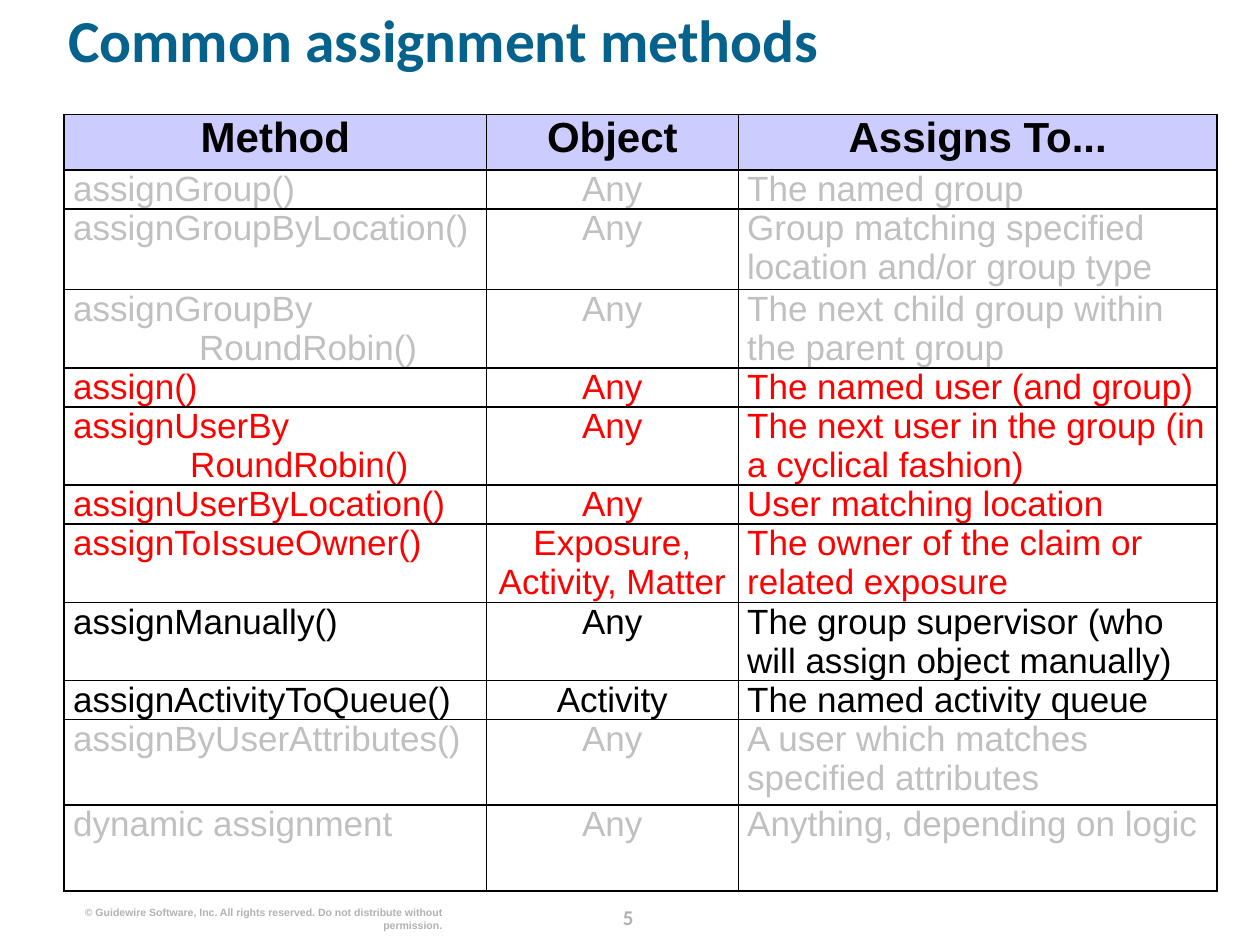
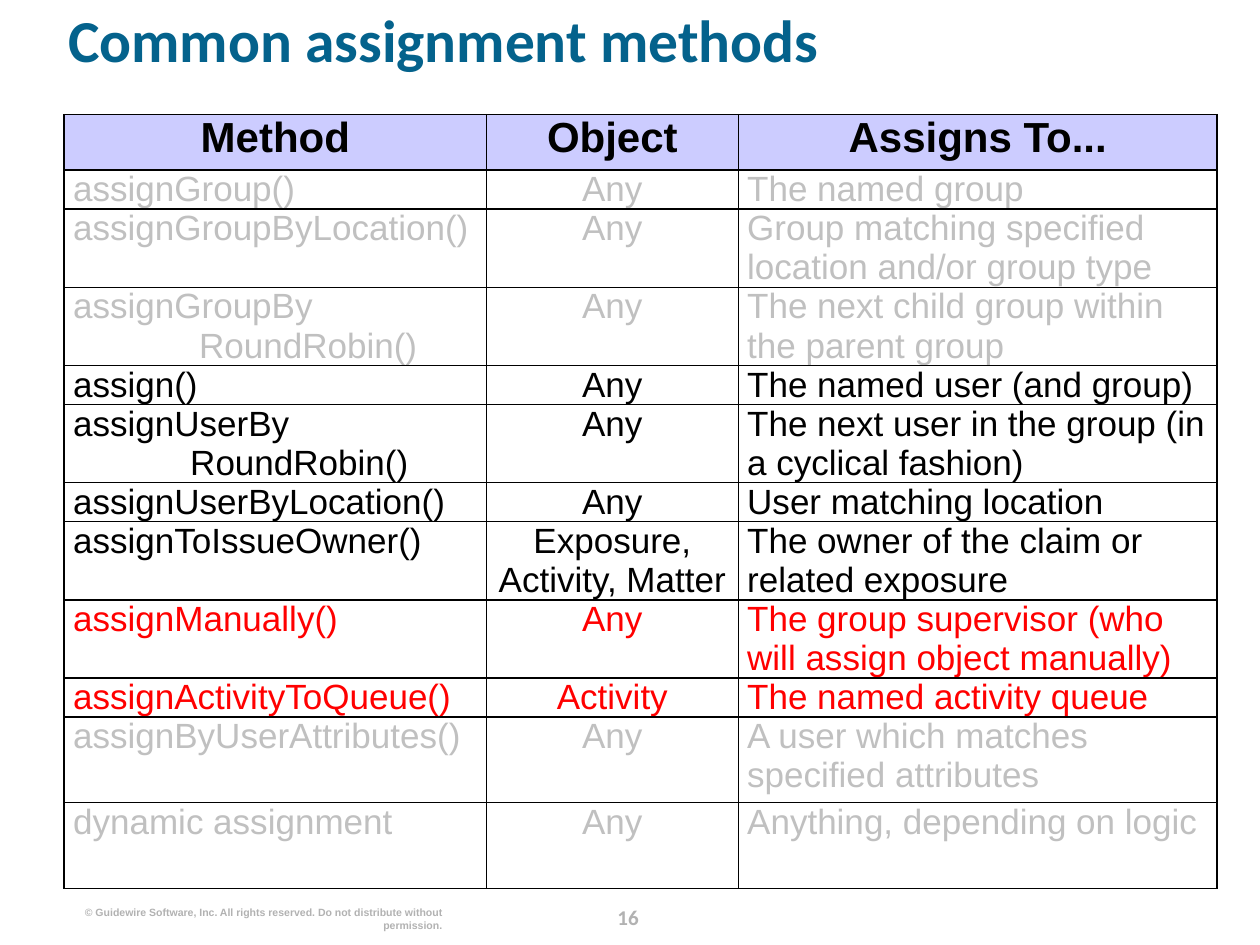
import lxml.etree
import pptx
import pptx.dml.color
import pptx.enum.text
import pptx.oxml.ns
import pptx.util

Inches, Pt = pptx.util.Inches, pptx.util.Pt
ALIGN = pptx.enum.text.PP_ALIGN

COLOURS = {
    "title": "04628C",
    "footer": "B2B2B2",
    "header": "CCCCFF",
    "body": "FFFFFF",
    "known": "000000",
    "focus": "FF0000",
    "muted": "C0C0C0",
}
STYLES = {
    "title": {"name": "Calibri", "size": Pt(34), "bold": True},
    "number": {"name": "Calibri", "size": Pt(12), "bold": True},
    "copyright": {"name": "Arial", "size": Pt(6), "bold": True},
    "header": {"name": "Arial", "size": Pt(24), "bold": True},
    "body": {"name": "Arial", "size": Pt(20), "bold": False},
}
SPACING = {"title": 0.8, "number": Pt(18), "body": Pt(22.3)}
MARGINS = ("margin_left", "margin_right", "margin_top", "margin_bottom")
COLUMN_WIDTHS = [3.35, 2, 3.8]
HEADER_HEIGHT, LINE_HEIGHT, LAST_HEIGHT = 0.44, 0.31, 0.68
TEXT_INDENT = 0.07

HEADINGS = ["Method", "Object", "Assigns To..."]
METHODS = [
    ("group", 1, "assignGroup()", "Any", "The named group"),
    ("group", 2, "assignGroupByLocation()", "Any", "Group matching specified location and/or group type"),
    ("group", 2, "assignGroupBy\vRoundRobin()", "Any", "The next child group within the parent group"),
    ("user", 1, "assign()", "Any", "The named user (and group)"),
    ("user", 2, "assignUserBy\vRoundRobin()", "Any", "The next user in the group (in a cyclical fashion)"),
    ("user", 1, "assignUserByLocation()", "Any", "User matching location"),
    ("user", 2, "assignToIssueOwner()", "Exposure, Activity, Matter", "The owner of the claim or related exposure"),
    ("queue", 2, "assignManually()", "Any", "The group supervisor (who will assign object manually)"),
    ("queue", 1, "assignActivityToQueue()", "Activity", "The named activity queue"),
    ("other", 0, "assignByUserAttributes()", "Any", "A user which matches specified attributes"),
    ("other", 0, "dynamic assignment", "Any", "Anything, depending on logic"),
]
HANGING = {"assignGroupBy\vRoundRobin()": 1.0, "assignUserBy\vRoundRobin()": 0.93}
LESSONS = [
    {"number": "5", "user": "focus", "queue": "known", "location_height": 0.64},
    {"number": "16", "user": "known", "queue": "focus", "location_height": 0.62},
]


def write(frame, text, style, colour, align):
    frame.word_wrap = True
    paragraph = frame.paragraphs[0]
    paragraph.text = text
    paragraph.alignment = align
    paragraph.line_spacing = SPACING.get(style)
    for run in paragraph.runs:
        for key, value in STYLES[style].items():
            setattr(run.font, key, value)
        run.font.color.rgb = pptx.dml.color.RGBColor.from_string(COLOURS[colour])
    return paragraph


def fill_cell(cell, text, style, colour, fill, align):
    paragraph = write(cell.text_frame, text, style, colour, align)
    for side in MARGINS:
        setattr(cell, side, 0)
    if align == ALIGN.LEFT:
        hanging = HANGING.get(text, 0)
        properties = paragraph._p.get_or_add_pPr()
        properties.set("marL", str(Inches(TEXT_INDENT + hanging)))
        properties.set("indent", str(-Inches(hanging)))
    cell_properties = cell._tc.get_or_add_tcPr()
    for edge in ("a:lnL", "a:lnR", "a:lnT", "a:lnB"):
        line = lxml.etree.SubElement(cell_properties, pptx.oxml.ns.qn(edge), w=str(Pt(1)))
        solid = lxml.etree.SubElement(line, pptx.oxml.ns.qn("a:solidFill"))
        lxml.etree.SubElement(solid, pptx.oxml.ns.qn("a:srgbClr"), val=COLOURS["known"])
    cell.fill.solid()
    cell.fill.fore_color.rgb = pptx.dml.color.RGBColor.from_string(COLOURS[fill])


deck = pptx.Presentation()
deck.slide_width, deck.slide_height = Inches(10), Inches(7.5)

for lesson in LESSONS:
    slide = deck.slides.add_slide(deck.slide_layouts[5])

    title = slide.shapes.title
    title.left, title.top, title.width, title.height = map(Inches, (0.54, 0.13, 9.1, 0.81))
    write(title.text_frame, "Common assignment methods", "title", "title", ALIGN.LEFT)
    title.text_frame.vertical_anchor = pptx.enum.text.MSO_ANCHOR.TOP
    title.text_frame.auto_size = pptx.enum.text.MSO_AUTO_SIZE.NONE

    heights = [HEADER_HEIGHT] + [lines * LINE_HEIGHT or LAST_HEIGHT for _, lines, *_ in METHODS]
    heights[2] = lesson["location_height"]
    methods = slide.shapes.add_table(
        len(heights), len(HEADINGS), Inches(0.51), Inches(0.91),
        Inches(sum(COLUMN_WIDTHS)), Inches(sum(heights)),
    ).table
    methods.first_row = methods.horz_banding = False
    for column, width in zip(methods.columns, COLUMN_WIDTHS):
        column.width = Inches(width)
    for row, height in zip(methods.rows, heights):
        row.height = Inches(height)

    for column, text in enumerate(HEADINGS):
        fill_cell(methods.cell(0, column), text, "header", "known", "header", ALIGN.CENTER)
    for row, (topic, _, *texts) in enumerate(METHODS, 1):
        colour = lesson.get(topic, "muted")
        for column, text in enumerate(texts):
            align = ALIGN.CENTER if column == 1 else ALIGN.LEFT
            fill_cell(methods.cell(row, column), text, "body", colour, "body", align)

    number = slide.shapes.add_textbox(*map(Inches, (4.7, 7.13, 0.57, 0.25)))
    write(number.text_frame, lesson["number"], "number", "footer", ALIGN.CENTER)
    rights = slide.shapes.add_textbox(*map(Inches, (0.61, 7.19, 2.9, 0.1)))
    write(
        rights.text_frame,
        "© Guidewire Software, Inc. All rights reserved. Do not distribute without permission.",
        "copyright", "footer", ALIGN.RIGHT,
    )
    for part in (title, number, rights):
        for side in MARGINS:
            setattr(part.text_frame, side, 0)

deck.save("out.pptx")
